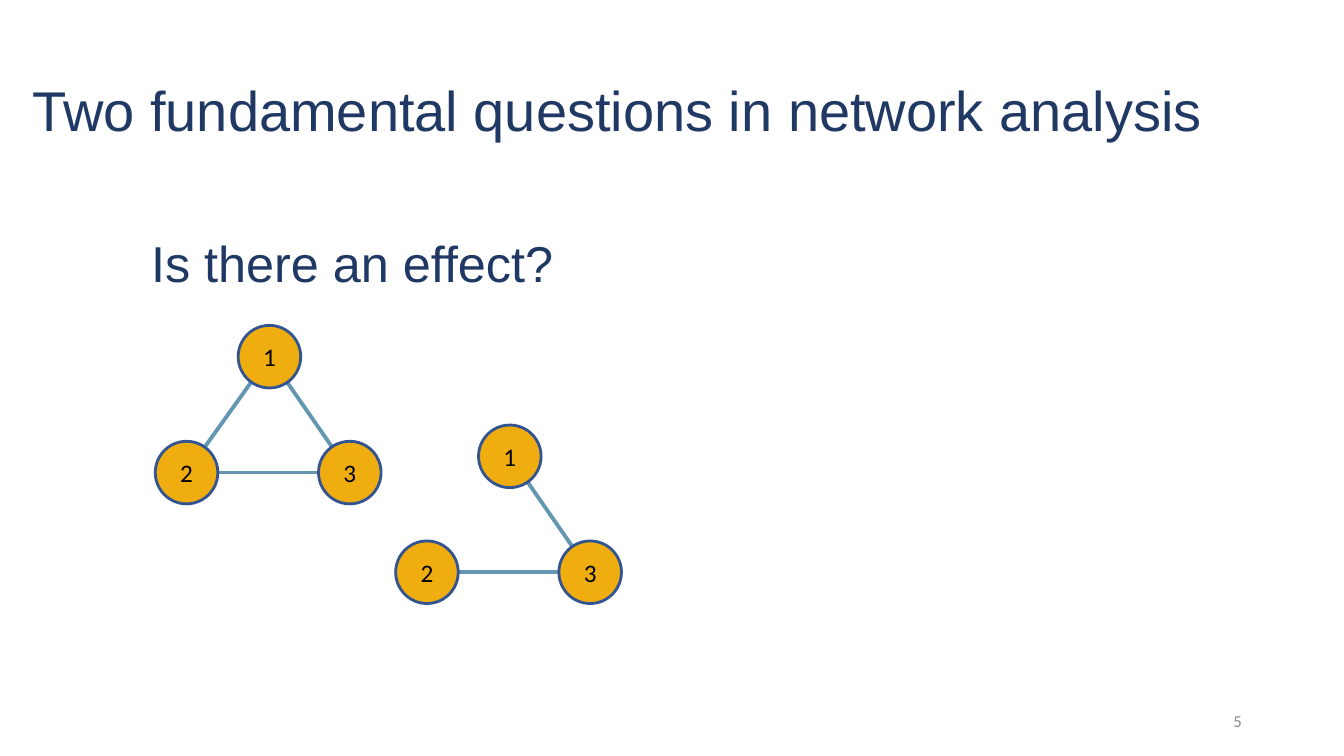
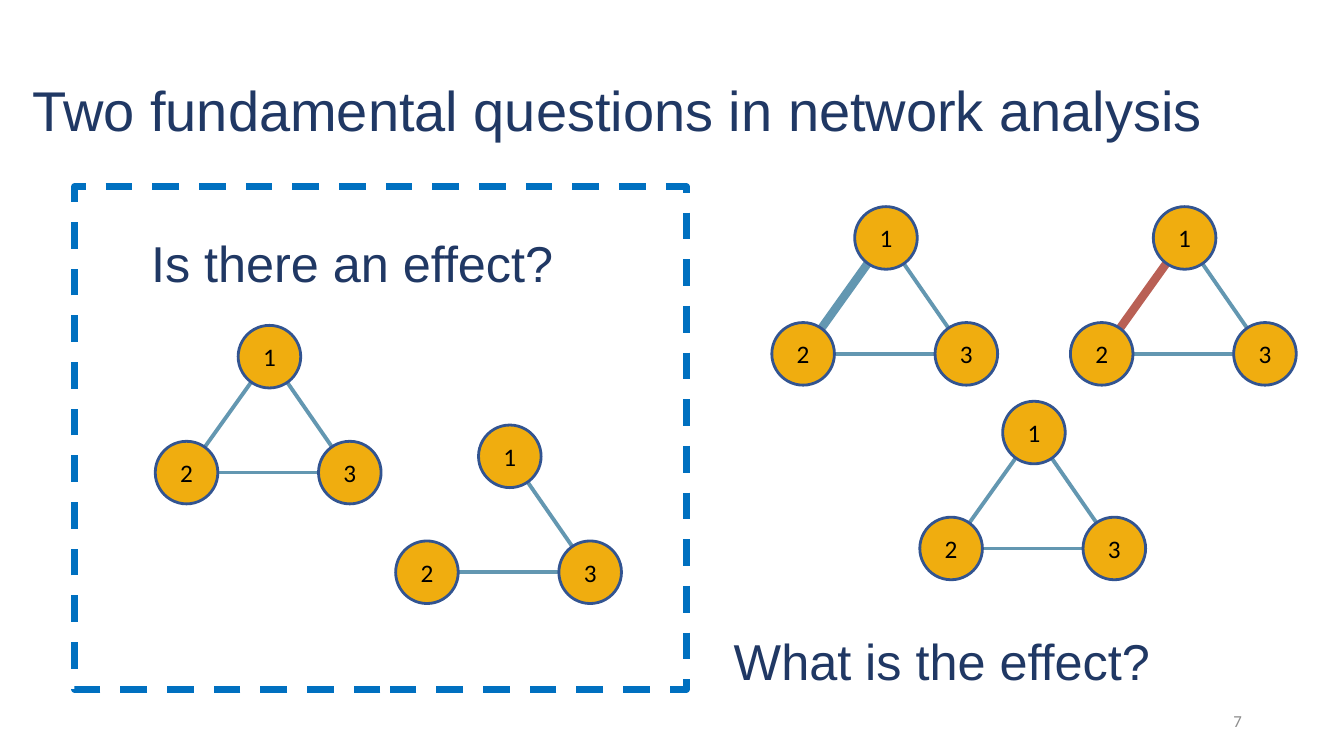
from pptx import Presentation
from pptx.dml.color import RGBColor
from pptx.enum.dml import MSO_LINE
from pptx.enum.shapes import MSO_CONNECTOR, MSO_SHAPE
from pptx.enum.text import MSO_ANCHOR, MSO_AUTO_SIZE, PP_ALIGN
from pptx.oxml.ns import qn
from pptx.util import Pt
from lxml import etree

NAVY = RGBColor(0x20, 0x38, 0x64)
GOLD = RGBColor(0xF0, 0xAD, 0x0F)
OUTLINE = RGBColor(0x32, 0x54, 0x91)
TEAL = RGBColor(0x63, 0x97, 0xB1)
RED = RGBColor(0xB9, 0x60, 0x55)
BLUE = RGBColor(0x00, 0x70, 0xC0)
GRAY = RGBColor(0x8C, 0x8C, 0x8C)
BLACK = RGBColor(0, 0, 0)

LEFT, CENTER, RIGHT = PP_ALIGN.LEFT, PP_ALIGN.CENTER, PP_ALIGN.RIGHT
TOP, MIDDLE = MSO_ANCHOR.TOP, MSO_ANCHOR.MIDDLE
NO_FIT = MSO_AUTO_SIZE.NONE
OVAL, RECT = MSO_SHAPE.OVAL, MSO_SHAPE.RECTANGLE
STRAIGHT = MSO_CONNECTOR.STRAIGHT
DASH = MSO_LINE.DASH

TITLE = "Two fundamental questions in network analysis"
DIAMETER = 44.7
NODES = {1: (59.2, 0), 2: (0, 82.8), 3: (116.6, 82.8)}
THIN, THICK = 2.75, 6
BASE = {(3, 2): (TEAL, THIN), (1, 3): (TEAL, THIN)}
TRIANGLE = {**BASE, (1, 2): (TEAL, THIN)}
STRONG = {**BASE, (1, 2): (TEAL, THICK)}
NEGATIVE = {**BASE, (1, 2): (RED, THICK)}


class Deck:
    def __init__(self):
        self.prs = Presentation()
        self.prs.slide_width, self.prs.slide_height = Pt(960), Pt(540)

    def set_text(self, sp, text, size, color, font="Arial", align=LEFT,
                 anchor=TOP, spacing=None):
        tf = sp.text_frame
        tf.text = text
        tf.word_wrap = True
        tf.auto_size = NO_FIT
        tf.vertical_anchor = anchor
        p = tf.paragraphs[0]
        p.alignment = align
        p.line_spacing = spacing
        f = p.runs[0].font
        f.name, f.size, f.color.rgb = font, Pt(size), color

    def slide(self, title, number):
        self.s = self.prs.slides.add_slide(self.prs.slide_layouts[5])
        sp = self.s.shapes.title
        sp.left, sp.top, sp.width, sp.height = Pt(15.8), Pt(28.8), Pt(878.4), Pt(104.4)
        self.set_text(sp, title, 40, NAVY, anchor=MIDDLE, spacing=0.9)
        self.text(number, 678.2, 500.4, 216, 28.8, 12, GRAY, font="Calibri",
                  align=RIGHT, anchor=MIDDLE)

    def text(self, text, x, y, w, h, size, color, **style):
        sp = self.s.shapes.add_textbox(Pt(x), Pt(y), Pt(w), Pt(h))
        self.set_text(sp, text, size, color, **style)

    def question(self, text, x, y, w):
        self.text(text, x, y, w, 41, 36, NAVY, spacing=0.9)

    def frame(self, x, y, w, h):
        sp = self.s.shapes.add_shape(RECT, Pt(x), Pt(y), Pt(w), Pt(h))
        sp.shadow.inherit = False
        sp.fill.background()
        sp.line.color.rgb, sp.line.width = BLUE, Pt(4.75)
        sp.line.dash_style = DASH

    def edge(self, shapes, start, end, color, width):
        c = shapes.add_connector(STRAIGHT, *(Pt(v) for v in (*start, *end)))
        c.line.color.rgb, c.line.width = color, Pt(width)
        etree.SubElement(c._element.spPr, qn("a:effectLst"))

    def node(self, shapes, label, x, y):
        sp = shapes.add_shape(OVAL, Pt(x), Pt(y), Pt(DIAMETER), Pt(DIAMETER))
        sp.shadow.inherit = False
        sp.fill.solid()
        sp.fill.fore_color.rgb = GOLD
        sp.line.color.rgb, sp.line.width = OUTLINE, Pt(2)
        tf = sp.text_frame
        tf.margin_left = tf.margin_right = tf.margin_top = tf.margin_bottom = 0
        self.set_text(sp, label, 18, BLACK, "Calibri", CENTER, MIDDLE)

    def network(self, x, y, edges):
        shapes = self.s.shapes.add_group_shape().shapes
        spots = {n: (x + dx, y + dy) for n, (dx, dy) in NODES.items()}
        centers = {n: (left + DIAMETER / 2, top + DIAMETER / 2)
                   for n, (left, top) in spots.items()}
        for (a, b), (color, width) in edges.items():
            self.edge(shapes, centers[a], centers[b], color, width)
        for n, spot in spots.items():
            self.node(shapes, str(n), *spot)

    def presence(self):
        self.question("Is there an effect?", 100.8, 167, 414)
        self.network(110.9, 232.4, TRIANGLE)
        self.network(282.6, 303.6, BASE)


def main():
    deck = Deck()
    deck.slide(TITLE, "5")
    deck.presence()

    deck.slide(TITLE, "7")
    deck.presence()
    deck.frame(53.3, 133.2, 437, 359.3)
    deck.question("What is the effect?", 517, 451.4, 438.5)
    deck.network(657, 286.6, TRIANGLE)
    deck.network(551.3, 147.6, STRONG)
    deck.network(764.6, 147.6, NEGATIVE)
    deck.prs.save("out.pptx")


if __name__ == "__main__":
    main()
